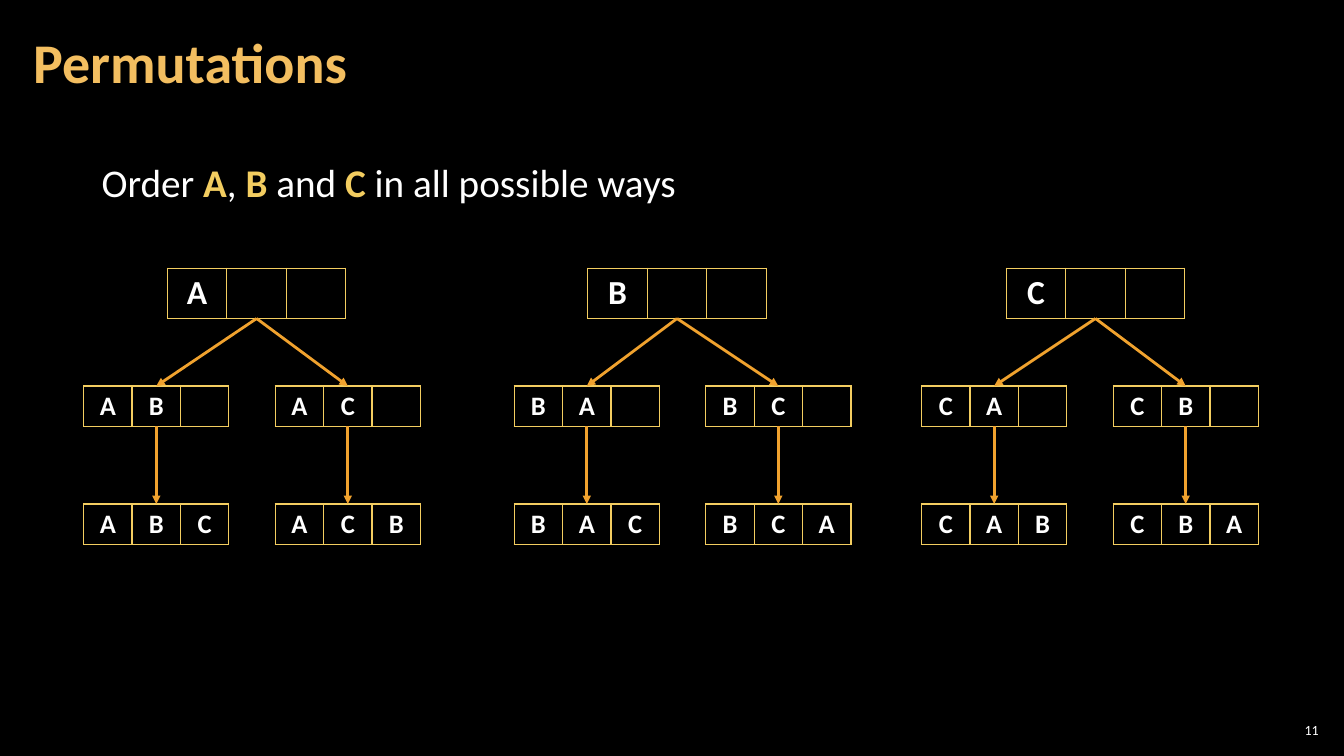
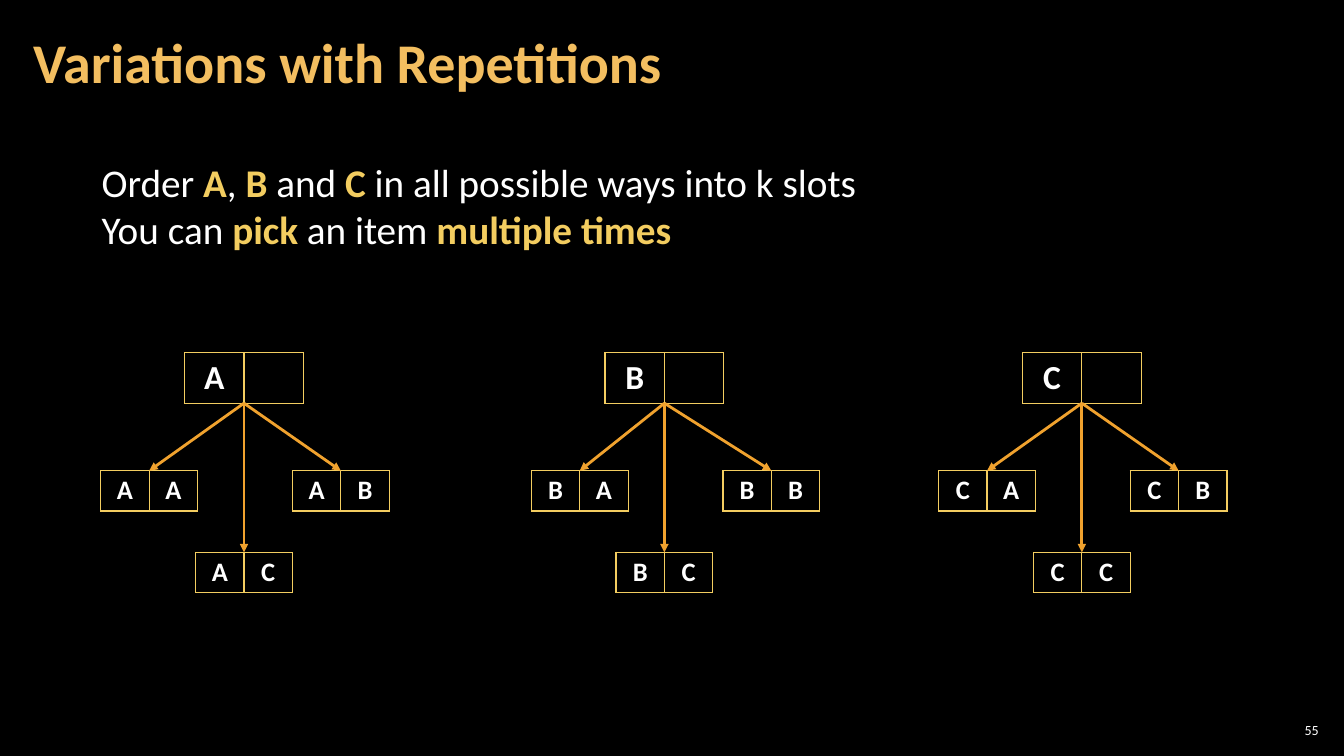
from lxml import etree
from pptx import Presentation
from pptx import util as u
from pptx.dml.color import RGBColor
from pptx.enum import shapes, text
from pptx.oxml import ns

BLACK = RGBColor(0x00, 0x00, 0x00)
WHITE = RGBColor(0xFF, 0xFF, 0xFF)
TITLE_GOLD = RGBColor(0xF3, 0xBE, 0x60)
GOLD = RGBColor(0xF3, 0xCD, 0x60)
ORANGE = RGBColor(0xF0, 0xA2, 0x2E)
FONT = "Calibri"
LETTERS = "ABC"
ROOT_CELL, ROOT_H = 0.59, 0.5
CELL, CELL_H = 0.48, 0.4
CHILD_STEP = 1.9
CHILD_DROP = 1.17


def style(r, size, color=WHITE, bold=False):
    """Set the font of one run."""
    r.font.name, r.font.size, r.font.bold = FONT, u.Pt(size), bold
    r.font.color.rgb = color


def add_box(s, left, top, width, height):
    """Add a middle-anchored wrapping text box and return its frame."""
    tf = s.shapes.add_textbox(*map(u.Inches, (left, top, width, height))).text_frame
    tf.word_wrap = True
    tf.vertical_anchor = text.MSO_ANCHOR.MIDDLE
    tf.margin_left = tf.margin_right = tf.margin_top = tf.margin_bottom = u.Inches(0.04)
    return tf


def add_page(prs, title, number):
    """Add a slide with its title and page number."""
    s = prs.slides.add_slide(prs.slide_layouts[6])
    tf = add_box(s, 0.21, 0.04, 10.47, 1.21)
    tf.margin_left = tf.margin_right = u.Inches(0.12)
    tf.text = title
    p = tf.paragraphs[0]
    p.line_spacing = 0.9
    style(p.runs[0], 40, TITLE_GOLD, True)
    tf = add_box(s, 12.65, 7.14, 0.47, 0.21)
    tf.text = str(number)
    p = tf.paragraphs[0]
    p.alignment = text.PP_ALIGN.RIGHT
    style(p.runs[0], 10)
    return s


def add_intro(s, width, height, lines):
    """Write the introduction, with words between asterisks in bold gold."""
    tf = s.shapes.add_textbox(*map(u.Inches, (0.91, 1.52, width, height))).text_frame
    tf.word_wrap = False
    tf.auto_size = text.MSO_AUTO_SIZE.SHAPE_TO_FIT_TEXT
    for i, line in enumerate(lines):
        p = tf.add_paragraph() if i else tf.paragraphs[0]
        for j, part in enumerate(line.split("*")):
            if part:
                r = p.add_run()
                r.text = part
                strong = j % 2 == 1
                style(r, 28, GOLD if strong else WHITE, strong)


def add_borders(cell):
    """Draw a thin gold border on all four sides of a cell."""
    pr = cell._tc.get_or_add_tcPr()
    for side in ("lnL", "lnR", "lnT", "lnB"):
        ln = etree.SubElement(pr, ns.qn(f"a:{side}"), w=str(u.Pt(1)))
        fill = etree.SubElement(ln, ns.qn("a:solidFill"))
        etree.SubElement(fill, ns.qn("a:srgbClr"), val=str(GOLD))


def add_slots(s, left, top, word, count, cell_w=CELL, height=CELL_H, size=19):
    """Add a one-row table whose first slots hold the letters of a word."""
    frame = s.shapes.add_table(
        1, count, *map(u.Inches, (left, top, cell_w * count, height)))
    table = frame.table
    table.first_row = table.horz_banding = False
    for i, cell in enumerate(table.rows[0].cells):
        add_borders(cell)
        cell.fill.background()
        cell.margin_left = cell.margin_right = u.Inches(0.08)
        cell.margin_top = cell.margin_bottom = u.Inches(0.04)
        cell.vertical_anchor = text.MSO_ANCHOR.MIDDLE
        if i < len(word):
            cell.text = word[i]
            p = cell.text_frame.paragraphs[0]
            p.alignment = text.PP_ALIGN.CENTER
            style(p.runs[0], size, bold=True)
    return frame


def add_arrow(s, upper, lower):
    """Join the bottom of one table to the top of another with an arrow."""
    c = s.shapes.add_connector(shapes.MSO_CONNECTOR.STRAIGHT, 0, 0, 0, 0)
    c.begin_connect(upper, 2)
    c.end_connect(lower, 0)
    c.line.color.rgb = ORANGE
    c.line.width = u.Pt(2)
    etree.SubElement(c.line._get_or_add_ln(), ns.qn("a:tailEnd"), type="triangle")
    etree.SubElement(c._element.spPr, ns.qn("a:effectLst"))


def add_root(s, left, top, letter, count):
    """Add the large table at the top of a tree."""
    return add_slots(s, left, top, letter, count, ROOT_CELL, ROOT_H, 24)


def add_permutation_tree(s, left, root_left, top, letter):
    """Draw the orderings of all letters that start with one letter."""
    root = add_root(s, root_left, top, letter, 3)
    others = [x for x in LETTERS if x != letter]
    for i, (second, third) in enumerate((others, others[::-1])):
        x = left + i * CHILD_STEP
        child = add_slots(s, x, top + CHILD_DROP, letter + second, 3)
        leaf = add_slots(s, x, top + 2 * CHILD_DROP, letter + second + third, 3)
        add_arrow(s, root, child)
        add_arrow(s, child, leaf)


def add_variation_tree(s, left, root_left, top, letter):
    """Draw the two-letter variations that start with one letter."""
    root = add_root(s, root_left, top, letter, 2)
    places = ((left, CHILD_DROP), (left + CHILD_STEP, CHILD_DROP),
              (root_left + ROOT_CELL - CELL, 1.98))
    for second, (x, drop) in zip(LETTERS, places):
        add_arrow(s, root, add_slots(s, x, top + drop, letter + second, 2))


def main():
    """Build both slides and save them."""
    prs = Presentation()
    prs.slide_width, prs.slide_height = u.Inches(13.33), u.Inches(7.5)
    fill = prs.slide_master.background.fill
    fill.solid()
    fill.fore_color.rgb = BLACK

    s = add_page(prs, "Permutations", 11)
    add_intro(s, 5.95, 0.57, ["Order *A*, *B* and *C* in all possible ways"])
    for letter, left, root_left in zip(LETTERS, (0.83, 5.1, 9.14), (1.66, 5.83, 9.98)):
        add_permutation_tree(s, left, root_left, 2.66, letter)

    s = add_page(prs, "Variations with Repetitions", 55)
    add_intro(s, 7.76, 1.04, ["Order *A*, *B* and *C* in all possible ways into k slots",
                              "You can *pick* an item *multiple times*"])
    for letter, left, root_left in zip(LETTERS, (1, 5.27, 9.31), (1.83, 6, 10.14)):
        add_variation_tree(s, left, root_left, 3.5, letter)

    prs.save("out.pptx")


if __name__ == "__main__":
    main()
